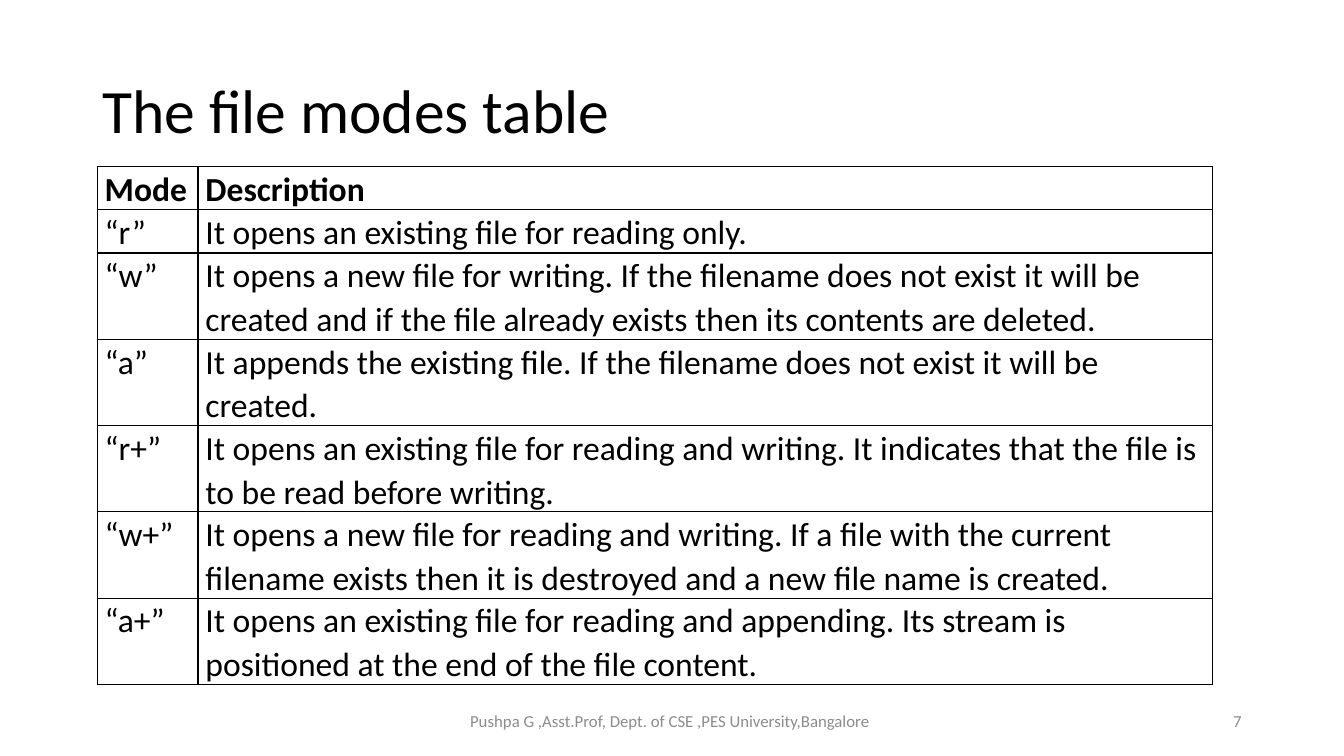
from lxml.etree import SubElement
from pptx import Presentation
from pptx.dml.color import RGBColor as RGB
from pptx.enum.text import MSO_ANCHOR as ANCHOR, PP_ALIGN as ALIGN
from pptx.oxml.ns import qn
from pptx.util import Pt

COLORS = {"text": "000000", "border": "000000", "footer": "8C8C8C"}

MODES = [
    ("Mode", "Description"),
    ("“r”", "It opens an existing file for reading only."),
    ("“w”", "It opens a new file for writing. If the filename does not exist it will be "
            "created and if the file already exists then its contents are deleted."),
    ("“a”", "It appends the existing file. If the filename does not exist it will be created."),
    ("“r+”", "It opens an existing file for reading and writing. It indicates that the file is "
             "to be read before writing."),
    ("“w+”", "It opens a new file for reading and writing. If a file with the current "
             "filename exists then it is destroyed and a new file name is created."),
    ("“a+”", "It opens an existing file for reading and appending. Its stream is "
             "positioned at the end of the file content."),
]
COL_WIDTHS = [72, 724.5]
ROW_HEIGHTS = [30.5] * 2 + [61] * 5


class SlideBuilder:
    font = "Calibri"

    def __init__(self, slide):
        self.s = slide

    def add_text(self, p, text, size, color="text", bold=False, align=ALIGN.LEFT, spacing=1.0):
        p.alignment = align
        p.line_spacing = spacing
        r = p.add_run()
        r.text = text
        r.font.name, r.font.size, r.font.bold = self.font, Pt(size), bold
        r.font.color.rgb = RGB.from_string(COLORS[color])

    def text_box(self, box, text, size, **style):
        """Add a vertically centred text box; box is left, top, width, height."""
        sp = self.s.shapes.add_textbox(*map(Pt, box))
        tf = sp.text_frame
        tf.word_wrap = True
        tf.vertical_anchor = ANCHOR.MIDDLE
        self.add_text(tf.paragraphs[0], text, size, **style)

    def border(self, cell):
        tc_pr = cell._tc.get_or_add_tcPr()
        for side in ("lnL", "lnR", "lnT", "lnB"):
            ln = SubElement(tc_pr, qn(f"a:{side}"), w=str(Pt(1)))
            fill = SubElement(ln, qn("a:solidFill"))
            SubElement(fill, qn("a:srgbClr"), val=COLORS["border"])

    def table(self, left, top, rows, widths, heights, size):
        frame = self.s.shapes.add_table(len(rows), len(widths), Pt(left), Pt(top),
                                        Pt(sum(widths)), Pt(sum(heights)))
        table = frame.table
        table.first_row = table.horz_banding = False
        for column, width in zip(table.columns, widths):
            column.width = Pt(width)
        for i, (row, height) in enumerate(zip(table.rows, heights)):
            row.height = Pt(height)
            for cell, text in zip(row.cells, rows[i]):
                cell.margin_left = cell.margin_right = Pt(5.4)
                cell.margin_top = cell.margin_bottom = 0
                self.border(cell)
                cell.fill.background()
                self.add_text(cell.text_frame.paragraphs[0], text, size,
                              bold=i == 0, spacing=1.07)


def main():
    prs = Presentation()
    prs.slide_width, prs.slide_height = Pt(960), Pt(540)
    slide = SlideBuilder(prs.slides.add_slide(prs.slide_layouts[6]))
    slide.text_box((66, 28.75, 828, 104.4), "The file modes table", 44, spacing=0.9)
    slide.table(69.4, 119, MODES, COL_WIDTHS, ROW_HEIGHTS, 24)
    slide.text_box((318, 500.5, 324, 28.75),
                   "Pushpa G ,Asst.Prof, Dept. of CSE ,PES University,Bangalore ",
                   12, color="footer", align=ALIGN.CENTER)
    slide.text_box((678, 500.5, 216, 28.75), "7", 12, color="footer", align=ALIGN.RIGHT)
    prs.save("out.pptx")


if __name__ == "__main__":
    main()
